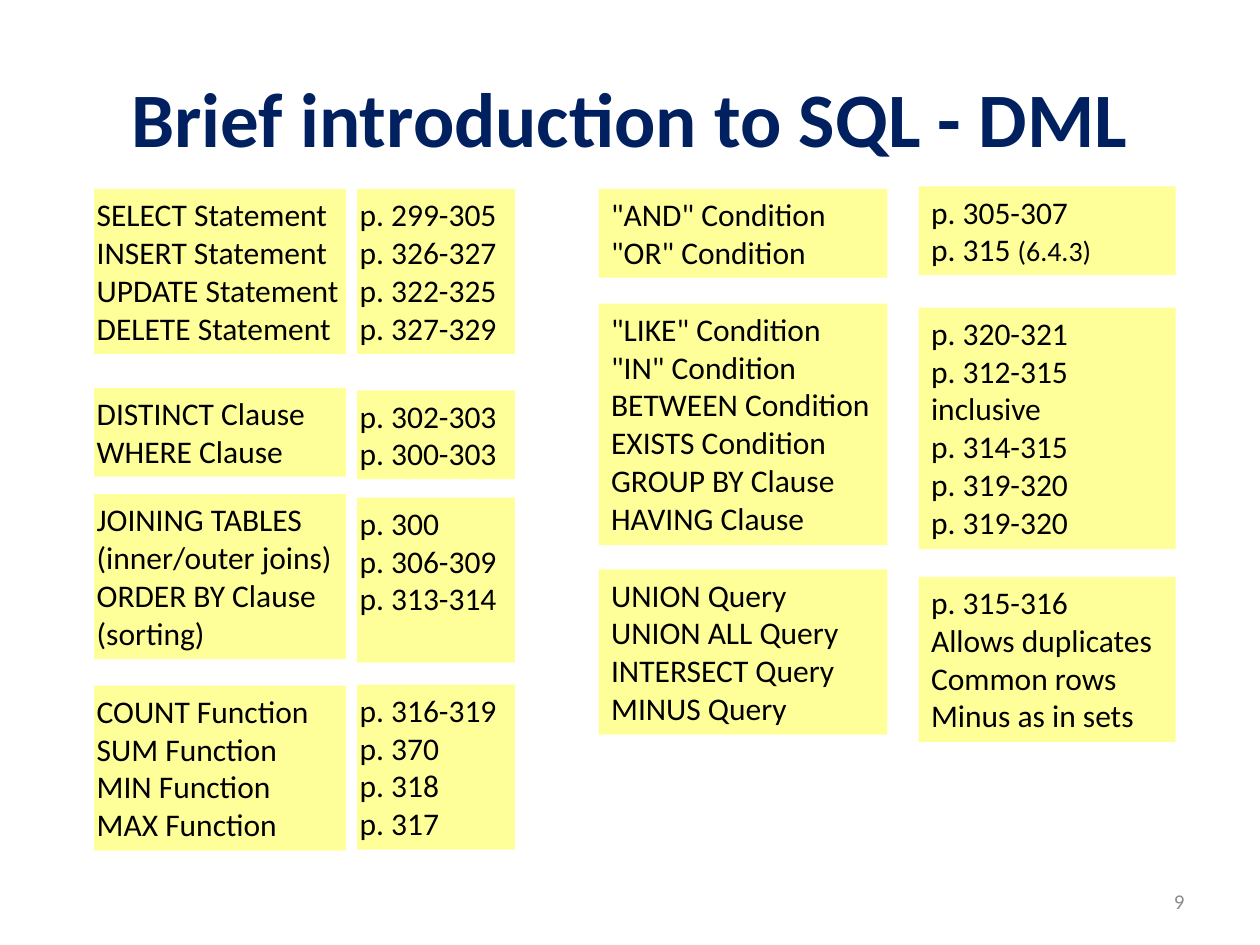
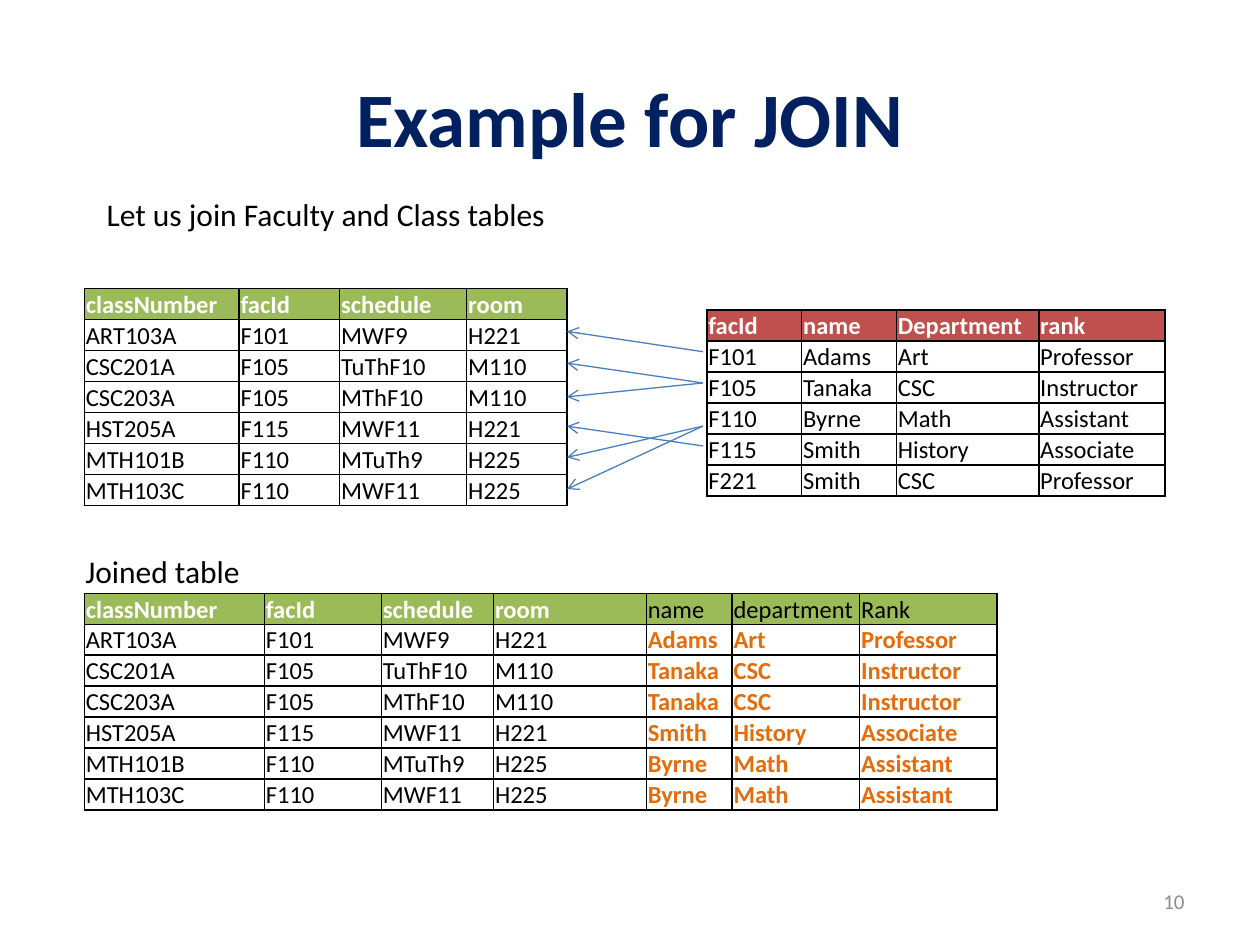
"""Build two slides on SQL DML: a page index and a worked JOIN example."""
import pptx
import pptx.util
import pptx.dml.color
import pptx.enum.shapes
import pptx.enum.text
import pptx.oxml
import pptx.oxml.ns

Cm = pptx.util.Cm
Pt = pptx.util.Pt
RGBColor = pptx.dml.color.RGBColor
ALIGN = pptx.enum.text.PP_ALIGN
ANCHOR = pptx.enum.text.MSO_ANCHOR
qn = pptx.oxml.ns.qn

FONT = "Calibri"
NAVY = RGBColor(0x00, 0x20, 0x60)
GRAY = RGBColor(0x8C, 0x8C, 0x8C)
BLACK = RGBColor(0x00, 0x00, 0x00)
WHITE = RGBColor(0xFF, 0xFF, 0xFF)
YELLOW = RGBColor(0xFF, 0xFF, 0x99)
GREEN = RGBColor(0x9B, 0xBB, 0x59)
RED = RGBColor(0xC0, 0x50, 0x4D)
ORANGE = RGBColor(0xE4, 0x6C, 0x0A)
BLUE = RGBColor(0x4B, 0x7E, 0xBC)


def add_text(sp, lines, size=18, color=BLACK, bold=False,
             align=ALIGN.LEFT, anchor=ANCHOR.TOP):
    tf = sp.text_frame
    tf.word_wrap = True
    tf.vertical_anchor = anchor
    tf.text = "\n".join(lines)
    for p in tf.paragraphs:
        p.alignment = align
        for r in p.runs:
            r.font.name = FONT
            r.font.size = Pt(size)
            r.font.color.rgb = color
            r.font.bold = bold
    return tf


def add_grid(s, left, top, widths, rows, head_fill, own_columns):
    row_height = Cm(0.62)
    table = s.shapes.add_table(len(rows), len(widths), Cm(left), Cm(top),
                               Cm(sum(widths)), row_height * len(rows)).table
    table.first_row = table.horz_banding = False
    for column, width in zip(table.columns, widths):
        column.width = Cm(width)
    for i, row in enumerate(rows):
        table.rows[i].height = row_height
        for j, text in enumerate(row):
            cell = table.cell(i, j)
            cell.text = text
            cell.vertical_anchor = ANCHOR.BOTTOM
            cell.margin_left = cell.margin_right = cell.margin_top = Cm(0.03)
            cell.margin_bottom = 0
            tc_pr = cell._tc.get_or_add_tcPr()
            for side in ("lnL", "lnR", "lnT", "lnB"):
                tc_pr.append(pptx.oxml.parse_xml(
                    f'<a:{side} {pptx.oxml.ns.nsdecls("a")} w="12700"><a:solidFill>'
                    f'<a:srgbClr val="{BLACK}"/></a:solidFill></a:{side}>'))
            own = j < own_columns
            if i == 0:
                cell.fill.solid()
                cell.fill.fore_color.rgb = head_fill
                color = WHITE if own else BLACK
            else:
                cell.fill.background()
                color = BLACK if own else ORANGE
            font = cell.text_frame.paragraphs[0].runs[0].font
            font.name = FONT
            font.size = Pt(14)
            font.color.rgb = color
            font.bold = (i == 0) == own


prs = pptx.Presentation()
prs.slide_width = Cm(25.4)
prs.slide_height = Cm(19.05)

slides = []
for title, number in (("Brief introduction to SQL - DML", "9"), ("Example for JOIN", "10")):
    s = prs.slides.add_slide(prs.slide_layouts[6])
    sp = s.shapes.add_textbox(Cm(1.27), Cm(0.76), Cm(22.86), Cm(3.18))
    add_text(sp, [title], 44, NAVY, True, ALIGN.CENTER, ANCHOR.MIDDLE)
    sp = s.shapes.add_textbox(Cm(18.21), Cm(17.65), Cm(5.92), Cm(1.02))
    add_text(sp, [number], 12, GRAY, False, ALIGN.RIGHT, ANCHOR.MIDDLE)
    slides.append(s)
index_slide, join_slide = slides

index_columns = [
    (1.9, 5.08, 0.05, [
        (3.81, 4, ["SELECT Statement", "INSERT Statement",
                   "UPDATE Statement", "DELETE Statement"]),
        (7.82, 2, ["DISTINCT Clause", "WHERE Clause"]),
        (9.96, 4, ["JOINING TABLES (inner/outer joins)", "ORDER BY Clause (sorting)"]),
        (13.82, 4, ["COUNT Function", "SUM Function", "MIN Function", "MAX Function"])]),
    (12.07, 5.82, 0.25, [
        (3.81, 2, ['"AND" Condition', '"OR" Condition']),
        (6.12, 6, ['"LIKE" Condition', '"IN" Condition', "BETWEEN Condition",
                   "EXISTS Condition", "GROUP BY Clause", "HAVING Clause"]),
        (11.48, 4, ["UNION Query", "UNION ALL Query", "INTERSECT Query", "MINUS Query"])]),
    (7.2, 3.18, 0.05, [
        (3.81, 4, ["p. 299-305", "p. 326-327", "p. 322-325", "p. 327-329"]),
        (7.87, 2, ["p. 302-303", "p. 300-303"]),
        (10.03, 4, ["p. 300", "p. 306-309", "p. 313-314"]),
        (13.8, 4, ["p. 316-319", "p. 370", "p. 318", "p. 317"])]),
    (18.52, 5.18, 0.25, [
        (6.2, 6, ["p. 320-321", "p. 312-315", "inclusive",
                  "p. 314-315", "p. 319-320", "p. 319-320"]),
        (11.63, 4, ["p. 315-316", "Allows duplicates", "Common rows", "Minus as in sets"]),
        (3.76, 2, ["p. 305-307", "p. 315 "])]),
]
for left, width, inset, boxes in index_columns:
    for top, line_count, lines in boxes:
        sp = index_slide.shapes.add_shape(
            pptx.enum.shapes.MSO_SHAPE.RECTANGLE,
            Cm(left), Cm(top), Cm(width), Cm(0.25 + 0.77 * line_count))
        sp.shadow.inherit = False
        sp.fill.solid()
        sp.fill.fore_color.rgb = YELLOW
        sp.line.fill.background()
        tf = add_text(sp, lines)
        tf.margin_left = tf.margin_right = Cm(inset)
r = tf.paragraphs[-1].add_run()
r.text = "(6.4.3)"
r.font.name = FONT
r.font.size = Pt(16)
r.font.color.rgb = BLACK

sp = join_slide.shapes.add_textbox(Cm(1.9), Cm(3.81), Cm(19.05), Cm(1.02))
add_text(sp, ["Let us join Faculty and Class tables"])
sp = join_slide.shapes.add_textbox(Cm(1.47), Cm(11), Cm(3.66), Cm(1.02))
add_text(sp, ["Joined table"]).word_wrap = False

faculty = [
    ["facId", "name", "Department", "rank"],
    ["F101", "Adams", "Art", "Professor"],
    ["F105", "Tanaka", "CSC", "Instructor"],
    ["F110", "Byrne", "Math", "Assistant"],
    ["F115", "Smith", "History", "Associate"],
    ["F221", "Smith", "CSC", "Professor"],
]
classes = [
    ["classNumber", "facId", "schedule", "room"],
    ["ART103A", "F101", "MWF9", "H221"],
    ["CSC201A", "F105", "TuThF10", "M110"],
    ["CSC203A", "F105", "MThF10", "M110"],
    ["HST205A", "F115", "MWF11", "H221"],
    ["MTH101B", "F110", "MTuTh9", "H225"],
    ["MTH103C", "F110", "MWF11", "H225"],
]
faculty_by_id = {row[0]: row[1:] for row in faculty[1:]}
joined = [classes[0] + ["name", "department", "Rank"]]
joined += [row + faculty_by_id[row[1]] for row in classes[1:]]

add_grid(join_slide, 14.25, 6.25, [1.91, 1.91, 2.87, 2.54], faculty, RED, 4)
add_grid(join_slide, 1.7, 5.82, [3.12, 2.03, 2.56, 2.02], classes, GREEN, 4)
add_grid(join_slide, 1.7, 11.96, [3.63, 2.36, 2.26, 3.08, 1.73, 2.57, 2.77],
         joined, GREEN, 4)

faculty_y = {"F101": 7.09, "F105": 7.72, "F110": 8.59, "F115": 8.99}
class_y = [6.68, 7.32, 8, 8.59, 9.22, 9.86]
for row, y in zip(classes[1:], class_y):
    c = join_slide.shapes.add_connector(
        pptx.enum.shapes.MSO_CONNECTOR.STRAIGHT,
        Cm(14.17), Cm(faculty_y[row[1]]), Cm(11.43), Cm(y))
    c.line.color.rgb = BLUE
    c.line.width = Pt(0.75)
    sp_pr = c._element.spPr
    tail = pptx.oxml.xmlchemy.OxmlElement("a:tailEnd")
    tail.set("type", "arrow")
    sp_pr.find(qn("a:ln")).append(tail)
    sp_pr.append(pptx.oxml.xmlchemy.OxmlElement("a:effectLst"))

prs.save("out.pptx")
